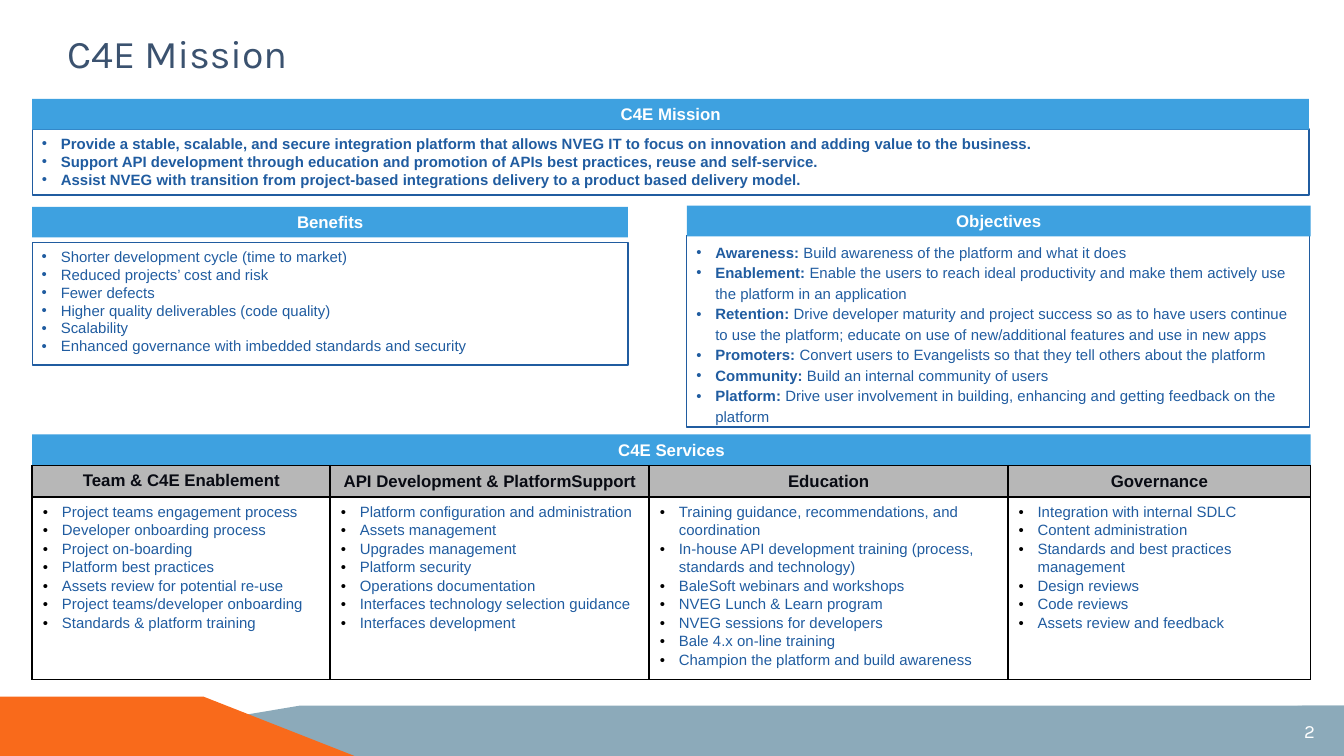
from dataclasses import dataclass

from lxml.etree import SubElement
from pptx import Presentation
from pptx.dml.color import RGBColor
from pptx.enum.shapes import MSO_SHAPE as Shape
from pptx.enum.text import MSO_ANCHOR as Anchor, MSO_AUTO_SIZE as AutoSize, PP_ALIGN as Align
from pptx.oxml.ns import qn
from pptx.util import Cm, Pt


@dataclass(frozen=True)
class Theme:
    bar: str = "3EA1E0"
    ink: str = "205CA0"
    title: str = "3B526F"
    white: str = "FFFFFF"
    heading: str = "090B13"
    heading_fill: str = "B7B7B7"
    black: str = "000000"
    slate: str = "8CAABA"
    orange: str = "F96A1B"
    body_font: str = "Arial"
    title_font: str = "Karla"
    title_size: float = 21
    heading_size: float = 9
    list_size: float = 8
    number_size: float = 10


class SlideBuilder:
    def __init__(self, slide, theme):
        self.slide, self.theme = slide, theme

    @staticmethod
    def apply(target, formats):
        for name, value in formats.items():
            setattr(target, name, value)

    def place(self, shape, box):
        self.apply(shape, dict(zip(("left", "top", "width", "height"), map(Cm, box))))

    def paint(self, shape, fill=None, line=None):
        shape.shadow.inherit = False
        if fill:
            shape.fill.solid()
            shape.fill.fore_color.rgb = RGBColor.from_string(fill)
        else:
            shape.fill.background()
        if line:
            shape.line.color.rgb = RGBColor.from_string(line)
            shape.line.width = Pt(0.75)
        else:
            shape.line.fill.background()

    def frame(self, shape, x=0.18, y=0.1, anchor=Anchor.TOP):
        text = shape.text_frame
        self.apply(text, {
            "word_wrap": True, "auto_size": AutoSize.NONE, "vertical_anchor": anchor,
            "margin_left": Cm(x), "margin_right": Cm(x),
            "margin_top": Cm(y), "margin_bottom": Cm(y)})
        return text

    def run(self, paragraph, words, size, color, bold=False, font=None):
        run = paragraph.add_run()
        run.text = words
        self.apply(run.font, {"size": Pt(size), "bold": bold,
                              "name": font or self.theme.body_font})
        run.font.color.rgb = RGBColor.from_string(color)

    def line(self, text, words, size, color, bold=False, font=None,
             align=Align.CENTER, spacing=1.0):
        paragraph = text.paragraphs[0]
        self.apply(paragraph, {"alignment": align, "line_spacing": spacing})
        self.run(paragraph, words, size, color, bold, font)

    def bullets(self, text, items, bullet, spacing=1.0, bold=False):
        """Fill a text frame; an item is a string or a (lead, rest) pair."""
        for index, item in enumerate(items):
            paragraph = text.add_paragraph() if index else text.paragraphs[0]
            props = paragraph._p.get_or_add_pPr()
            props.set("marL", str(Cm(0.36)))
            props.set("indent", str(-Cm(0.36)))
            color = SubElement(props, qn("a:buClr"))
            SubElement(color, qn("a:srgbClr"), val=bullet)
            SubElement(props, qn("a:buFont"), typeface=self.theme.body_font)
            SubElement(props, qn("a:buChar"), char="•")
            self.apply(paragraph, {"alignment": Align.LEFT, "line_spacing": spacing,
                                   "space_before": Pt(0), "space_after": Pt(0)})
            lead, rest = item if isinstance(item, tuple) else ("", item)
            if lead:
                self.run(paragraph, lead, self.theme.list_size, self.theme.ink, True)
            self.run(paragraph, rest, self.theme.list_size, self.theme.ink, bold)

    def title(self, words, box):
        title = self.slide.shapes.title
        self.place(title, box)
        self.line(self.frame(title, 0, 0, Anchor.MIDDLE), words, self.theme.title_size,
                  self.theme.title, font=self.theme.title_font, align=Align.LEFT, spacing=1.14)

    def bar(self, words, left, top, width):
        bar = self.slide.shapes.add_shape(Shape.RECTANGLE, *map(Cm, (left, top, width, 0.58)))
        self.paint(bar, self.theme.bar)
        self.line(self.frame(bar), words, self.theme.heading_size, self.theme.white, True)

    def panel(self, items, box, panel=None, **style):
        panel = panel or self.slide.shapes.add_shape(Shape.RECTANGLE, 0, 0, 0, 0)
        self.place(panel, box)
        if panel.is_placeholder:
            panel.line.color.rgb = RGBColor.from_string(self.theme.ink)
            panel.line.width = Pt(0.75)
        else:
            self.paint(panel, line=self.theme.ink)
        self.bullets(self.frame(panel), items, self.theme.ink, **style)

    def polygon(self, points, fill):
        start, *rest = [(Cm(x), Cm(y)) for x, y in points]
        outline = self.slide.shapes.build_freeform(*start)
        outline.add_line_segments(rest, close=True)
        self.paint(outline.convert_to_shape(), fill)

    def page_number(self, number, box):
        tab = self.slide.shapes.add_shape(Shape.FLOWCHART_DELAY, *map(Cm, box))
        tab._element.spPr.find(qn("a:xfrm")).set("flipH", "1")
        self.paint(tab, self.theme.slate)
        self.line(self.frame(tab, 0.25, 0.13, Anchor.MIDDLE), number, self.theme.number_size,
                  self.theme.white, font=self.theme.title_font)

    def cell(self, cell, fill=None):
        self.apply(cell, {"margin_left": Cm(0.2), "margin_right": Cm(0.2),
                          "margin_top": Cm(0.1), "margin_bottom": Cm(0.1)})
        props = cell._tc.get_or_add_tcPr()
        for side in ("lnL", "lnR", "lnT", "lnB"):
            border = SubElement(props, qn(f"a:{side}"), w=str(Pt(1)))
            solid = SubElement(border, qn("a:solidFill"))
            SubElement(solid, qn("a:srgbClr"), val=self.theme.black)
        if fill:
            cell.fill.solid()
            cell.fill.fore_color.rgb = RGBColor.from_string(fill)
        else:
            cell.fill.background()
        return cell.text_frame

    def table(self, columns, widths, heights, left, top):
        size = map(Cm, (left, top, sum(widths), sum(heights)))
        table = self.slide.shapes.add_table(2, len(columns), *size).table
        self.apply(table, {"first_row": False, "horz_banding": False})
        for row, height in zip(table.rows, heights):
            row.height = Cm(height)
        for index, (heading, items) in enumerate(columns.items()):
            table.columns[index].width = Cm(widths[index])
            self.line(self.cell(table.cell(0, index), self.theme.heading_fill), heading,
                      self.theme.heading_size, self.theme.heading, True,
                      spacing=1.1 if index else 1.0)
            self.bullets(self.cell(table.cell(1, index)), items, self.theme.black, 1.1)


MISSION = [
    "Provide a stable, scalable, and secure integration platform that allows NVEG IT to focus on innovation and adding value to the business.",
    "Support API development through education and promotion of APIs best practices, reuse and self-service.",
    "Assist NVEG with transition from project-based integrations delivery to a product based delivery model."]
BENEFITS = ["Shorter development cycle (time to market)", "Reduced projects’ cost and risk",
            "Fewer defects", "Higher quality deliverables (code quality)", "Scalability",
            "Enhanced governance with imbedded standards and security"]
OBJECTIVES = [
    ("Awareness:", " Build awareness of the platform and what it does"),
    ("Enablement:", " Enable the users to reach ideal productivity and make them actively use the platform in an application"),
    ("Retention:", " Drive developer maturity and project success so as to have users continue to use the platform; educate on use of new/additional features and use in new apps"),
    ("Promoters:", " Convert users to Evangelists so that they tell others about the platform"),
    ("Community:", " Build an internal community of users"),
    ("Platform:", " Drive user involvement in building, enhancing and getting feedback on the platform")]
SERVICES = {
    "Team & C4E Enablement": [
        "Project teams engagement process", "Developer onboarding process", "Project on-boarding",
        "Platform best practices", "Assets review for potential re-use",
        "Project teams/developer onboarding", "Standards & platform training"],
    "API Development & PlatformSupport": [
        "Platform configuration and administration", "Assets management", "Upgrades management",
        "Platform security", "Operations documentation",
        "Interfaces technology selection guidance", "Interfaces development"],
    "Education": [
        "Training guidance, recommendations, and coordination",
        "In-house API development training (process, standards and technology)",
        "BaleSoft webinars and workshops", "NVEG Lunch & Learn program",
        "NVEG sessions for developers", "Bale 4.x on-line training",
        "Champion the platform and build awareness"],
    "Governance": [
        "Integration with internal SDLC", "Content administration",
        "Standards and best practices management", "Design reviews", "Code reviews",
        "Assets review and feedback"]}


def main():
    deck = Presentation()
    deck.slide_width, deck.slide_height = Cm(25.4), Cm(14.29)
    slide = deck.slides.add_slide(deck.slide_layouts[1])
    page = SlideBuilder(slide, Theme())
    left, right = 0.61, 12.98

    # Footer band and page number
    page.polygon([(0, 14.29), (5.66, 13.34), (25.4, 13.34), (25.4, 14.29)], page.theme.slate)
    page.polygon([(0, 14.29), (0, 13.17), (3.85, 13.17), (6.7, 14.29)], page.theme.orange)
    page.page_number("2", (23.88, 13.34, 1.52, 0.95))

    # Title and mission
    page.title("C4E Mission", (1.27, 0, 19.76, 1.88))
    page.panel(MISSION, (left, 2.44, 24.13, 1.25), slide.placeholders[1], bold=True)
    page.bar("C4E Mission", left, 1.87, 24.13)

    # Benefits and objectives
    page.bar("Benefits", left, 3.91, 11.26)
    page.panel(BENEFITS, (left, 4.58, 11.26, 2.32))
    page.panel(OBJECTIVES, (right, 4.45, 11.77, 3.62), spacing=1.15)
    page.bar("Objectives", right, 3.89, 11.79)

    # Services
    page.bar("C4E Services", left, 8.21, 24.16)
    page.table(SERVICES, (5.63, 6.03, 6.78, 5.72), (0.59, 3.45), left, 8.8)

    deck.save("out.pptx")


if __name__ == "__main__":
    main()
